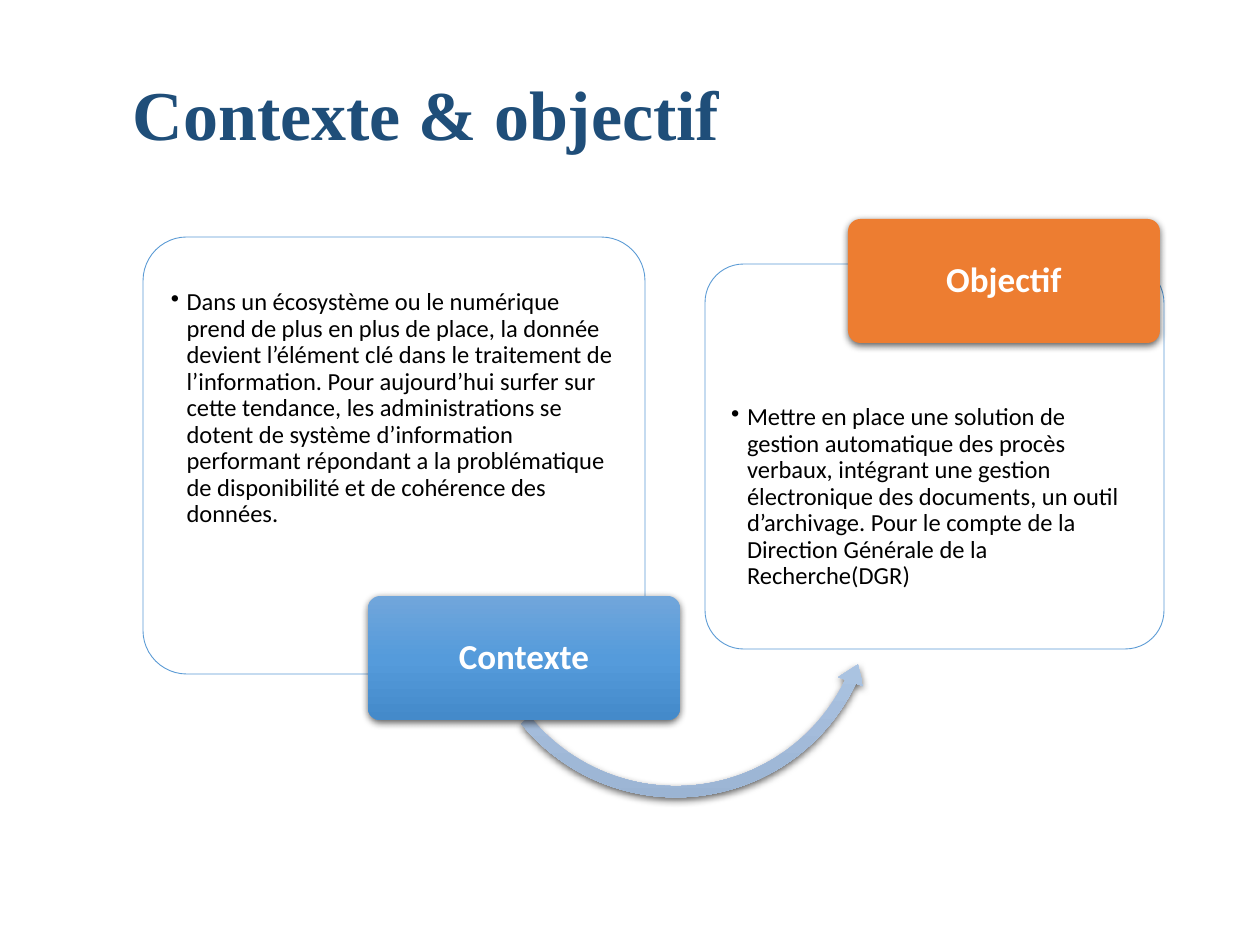
from pptx import Presentation
from pptx.dml.color import RGBColor
from pptx.enum.shapes import MSO_SHAPE as Preset
from pptx.enum.text import MSO_ANCHOR as Anchor, MSO_AUTO_SIZE as AutoSize, PP_ALIGN as Align
from pptx.oxml import parse_xml
from pptx.oxml.ns import nsdecls
from pptx.util import Emu, Pt

SCALE = 914400 // 126
WHITE, BLACK, NAVY, BLUE, ORANGE = "FFFFFF", "000000", "1F4E79", "5B9BD5", "ED7D31"
BLUE_BLEND = ("71A6DB", "559BDB", "448ACA")
PALE_BLEND = ("C0D2EB", "B3CBE9", "9BB4D3")
CONTEXT = (
    "Dans un écosystème ou le numérique prend de plus en plus de place, la donnée devient "
    "l’élément clé dans le traitement de l’information. Pour aujourd’hui surfer sur cette "
    "tendance, les administrations se dotent de système d’information performant répondant "
    "a la problématique de disponibilité et de cohérence des données."
)
GOAL = (
    "Mettre en place une solution de gestion automatique des procès verbaux, intégrant une "
    "gestion électronique des documents, un outil d’archivage. Pour le compte de la "
    "Direction Générale de la Recherche(DGR)"
)


def px(length):
    return Emu(length * SCALE)


def color(value):
    return RGBColor.from_string(value)


def add_preset(page, preset, area, adjustments):
    shape = page.shapes.add_shape(preset, *map(px, area))
    for index, value in enumerate(adjustments):
        shape.adjustments[index] = value
    shape.shadow.inherit = False
    shape.line.fill.background()
    return shape


def fill_solid(shape, value):
    shape.fill.solid()
    shape.fill.fore_color.rgb = color(value)


def fill_blend(shape, values):
    stops = "".join(
        f'<a:gs pos="{index * 50000}"><a:srgbClr val="{value}"/></a:gs>'
        for index, value in enumerate(values)
    )
    blend = parse_xml(
        f'<a:gradFill {nsdecls("a")} rotWithShape="1"><a:gsLst>{stops}</a:gsLst>'
        '<a:lin ang="5400000" scaled="0"/></a:gradFill>'
    )
    shape.line._get_or_add_ln().addprevious(blend)


def add_shadow(shape):
    effects = shape._element.spPr.find(
        "{http://schemas.openxmlformats.org/drawingml/2006/main}effectLst"
    )
    effects.append(parse_xml(
        f'<a:outerShdw {nsdecls("a")} blurRad="57150" dist="19050" dir="5400000" '
        'algn="ctr" rotWithShape="0"><a:srgbClr val="000000"><a:alpha val="63000"/>'
        '</a:srgbClr></a:outerShdw>'
    ))


def write(shape, text, size, value, margins, align, font="Calibri", bold=False):
    frame = shape.text_frame
    frame.word_wrap = True
    frame.auto_size = AutoSize.NONE
    frame.vertical_anchor = Anchor.MIDDLE
    frame.margin_left, frame.margin_top, frame.margin_right, frame.margin_bottom = map(px, margins)
    frame.text = text
    para = frame.paragraphs[0]
    para.alignment = align
    para.font.name, para.font.size, para.font.bold = font, Pt(size), bold
    para.font.color.rgb = color(value)
    return para


def add_bullet(para):
    properties = para._p.get_or_add_pPr()
    properties.set("marL", "114300")
    properties.set("indent", "-114300")
    properties.append(parse_xml(f'<a:buChar {nsdecls("a")} char="•"/>'))


def add_title(page, text):
    title = page.shapes.title
    title.left, title.top, title.width, title.height = map(px, (120, 64, 693, 97))
    write(title, text, 40, NAVY, (13, 6, 13, 6), Align.LEFT, "Times New Roman", True)


def add_card(page, area, text, top, bottom):
    card = add_preset(page, Preset.ROUNDED_RECTANGLE, area, [0.1])
    fill_solid(card, WHITE)
    card.line.color.rgb = color(BLUE)
    card.line.width = Pt(0.5)
    para = write(card, text, 14, BLACK, (15, top, 15, bottom), Align.LEFT)
    para.line_spacing = 0.9
    add_bullet(para)


def add_tag(page, left, top, text, paint, values):
    tag = add_preset(page, Preset.ROUNDED_RECTANGLE, (left, top, 312, 124), [0.1])
    paint(tag, values)
    add_shadow(tag)
    write(tag, text, 20, WHITE, (4, 4, 4, 4), Align.CENTER, bold=True).line_spacing = 0.9


def add_arrow(page):
    arrow = add_preset(page, Preset.LEFT_CIRCULAR_ARROW, (469, 391, 414, 414),
                       [0.027, 3.316, 15.36, 84.534, 0.032])
    fill_blend(arrow, PALE_BLEND)
    add_shadow(arrow)


def main():
    deck = Presentation()
    deck.slide_width, deck.slide_height = px(1260), px(945)
    page = deck.slides.add_slide(deck.slide_layouts[5])
    add_title(page, "Contexte & objectif")
    add_card(page, (143, 237, 502, 437), CONTEXT, 15, 108)
    add_arrow(page)
    add_tag(page, 368, 596, "Contexte", fill_blend, BLUE_BLEND)
    add_card(page, (705, 264, 459, 385), GOAL, 97, 15)
    add_tag(page, 848, 219, "Objectif", fill_solid, ORANGE)
    deck.save("out.pptx")


main()
